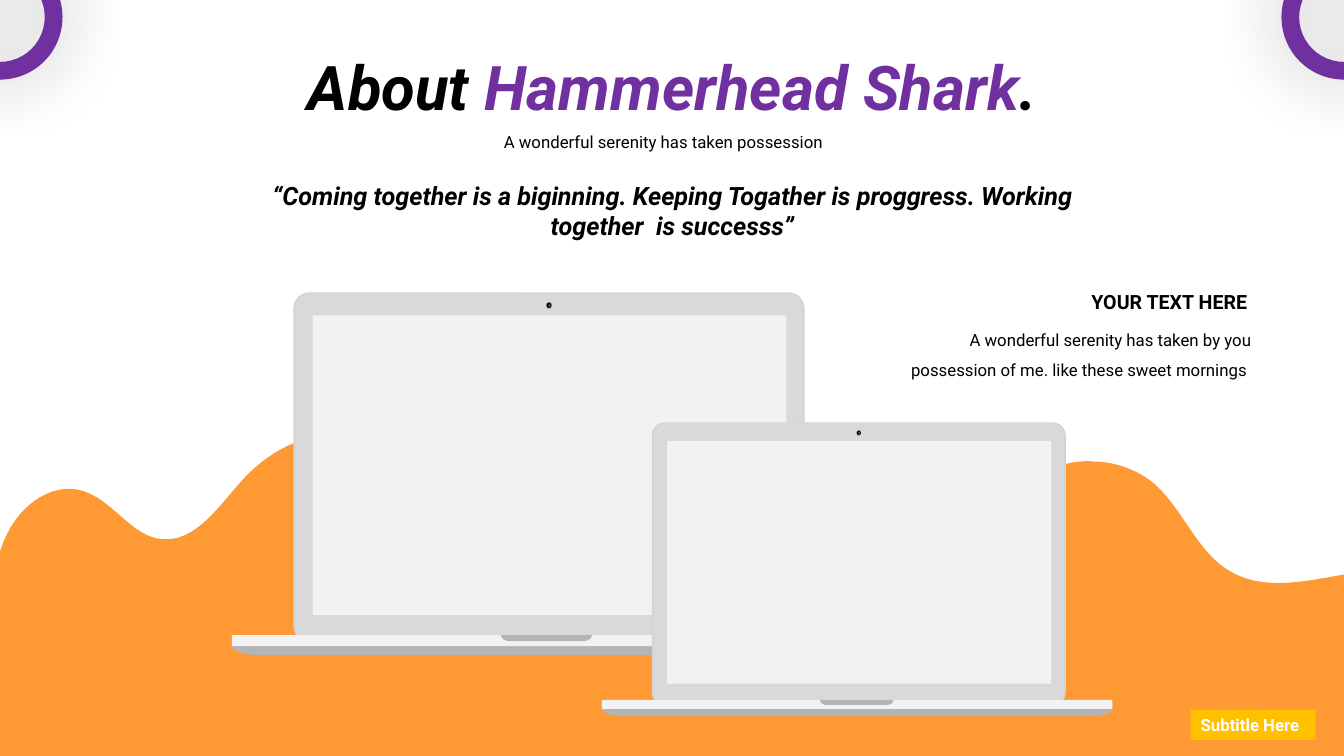
"""Build the slide with two laptops in front of an orange wave."""
import pptx
import pptx.dml.color
import pptx.enum.shapes
import pptx.enum.text
import pptx.oxml
import pptx.oxml.ns
import pptx.util

Inches = pptx.util.Inches
SHAPE = pptx.enum.shapes.MSO_SHAPE
ALIGN = pptx.enum.text.PP_ALIGN
WIDTH, HEIGHT = 13.33, 7.5
PURPLE, ORANGE, GOLD = "7030A0", "FF9933", "FFC000"
BLACK, WHITE = "000000", "FFFFFF"
RIM, LID, PALE, DARK = "D2D3D5", "D9D9D9", "F2F2F2", "B3B4B5"
CREST_START = (0.02, 5.42)
CREST = [
    ((0.03, 5.38), (0.05, 5.34), (0.07, 5.3)),
    ((0.21, 5), (0.53, 4.78), (0.82, 4.87)),
    ((1.12, 4.96), (1.31, 5.33), (1.61, 5.35)),
    ((1.93, 5.38), (2.16, 5.04), (2.38, 4.79)),
    ((2.58, 4.56), (2.84, 4.39), (3.13, 4.33)),
    ((3.2, 4.32), (3.28, 4.31), (3.35, 4.32)),
    ((3.56, 4.32), (3.78, 4.4), (3.95, 4.54)),
    ((4.23, 4.79), (4.37, 5.2), (4.67, 5.39)),
    ((5.01, 5.61), (5.43, 5.51), (5.83, 5.44)),
    ((6.1, 5.4), (6.39, 5.39), (6.66, 5.4)),
    ((6.94, 5.42), (7.24, 5.48), (7.47, 5.64)),
]


def color(value):
    """Turn a hex string into a colour."""
    return pptx.dml.color.RGBColor.from_string(value)


def paint(shape, fill):
    """Give a shape a plain fill without line or shadow."""
    shape.fill.solid()
    shape.fill.fore_color.rgb = color(fill)
    shape.line.fill.background()
    shape.shadow.inherit = False
    return shape


def add_preset(shapes, kind, box, fill, *adjustments):
    """Add a filled preset shape."""
    shape = shapes.add_shape(kind, *map(Inches, box))
    for index, value in enumerate(adjustments):
        shape.adjustments[index] = value
    return paint(shape, fill)


def add_outline(shapes, points, fill):
    """Add a filled closed outline."""
    start, *rest = [(Inches(x), Inches(y)) for x, y in points]
    builder = shapes.build_freeform(*start)
    builder.add_line_segments(rest, close=True)
    return paint(builder.convert_to_shape(), fill)


def curve_points(start, curves, steps=12):
    """List points along a chain of cubic curves."""
    points = [start]
    for first, second, end in curves:
        for step in range(1, steps + 1):
            t = step / steps
            u = 1 - t
            points.append(tuple(
                u**3 * a + 3 * u * u * t * b + 3 * u * t * t * c + t**3 * d
                for a, b, c, d in zip(start, first, second, end)))
        start = end
    return points


def add_wave(shapes):
    """Add the wave, whose crest repeats lower on the right."""
    left = curve_points(CREST_START, CREST)
    right = [(x + 7.5, y + 0.26) for x, y in curve_points(CREST_START, CREST[:9])]
    outline = [(0, HEIGHT), (0, 5.47), *left, *right, (WIDTH, HEIGHT)]
    add_outline(shapes, outline, ORANGE)


def add_basin(shapes, box, side, corner, fill):
    """Add a flat-topped shape with rounded lower corners."""
    left, top, width, height = box
    bend = curve_points((0, side), [((0, (side + height) / 2), (corner * 0.4, height), (corner, height))])
    near = [(left + x, top + y) for x, y in bend]
    far = [(left + width - x, top + y) for x, y in reversed(bend)]
    add_outline(shapes, [(left, top), *near, *far, (left + width, top)], fill)


def add_laptop(shapes, left, top, scale):
    """Add a laptop at the given scale."""
    def place(x, y, width, height):
        return left + x * scale, top + y * scale, width * scale, height * scale

    add_basin(shapes, place(0, 3.46, 6.25, 0.14), 0.05 * scale, 0.27 * scale, DARK)
    add_preset(shapes, SHAPE.ROUNDED_RECTANGLE, place(0.61, 0, 5.07, 3.47), RIM, 0.046)
    add_preset(shapes, SHAPE.ROUNDED_RECTANGLE, place(0.63, 0.01, 5.03, 3.44), LID, 0.042)
    add_preset(shapes, SHAPE.RECTANGLE, place(0, 3.4, 6.25, 0.11), PALE)
    add_basin(shapes, place(2.67, 3.4, 0.9, 0.06), 0, 0.08 * scale, DARK)
    add_preset(shapes, SHAPE.RECTANGLE, place(0.8, 0.23, 4.7, 2.97), PALE)
    for x, y, size, fill in [(3.12, 0.11, 0.05, "2C2C2C"), (3.12, 0.1, 0.05, "0A0A0A"),
                             (3.13, 0.11, 0.03, BLACK), (3.14, 0.12, 0.02, "2C99B4")]:
        add_preset(shapes, SHAPE.OVAL, place(x, y, size, size), fill)


def add_ring(shapes, left):
    """Add a corner ring with a soft shadow."""
    ring = add_preset(shapes, SHAPE.DONUT, (left, -0.45, 1.24, 1.24), PURPLE, 0.142)
    effects = ring._element.spPr.find(pptx.oxml.ns.qn("a:effectLst"))
    effects.append(pptx.oxml.parse_xml(
        f'<a:outerShdw {pptx.oxml.ns.nsdecls("a")} blurRad="{pptx.util.Pt(49)}" dist="0" dir="0" '
        f'algn="ctr" rotWithShape="0"><a:srgbClr val="{BLACK}"><a:alpha val="33000"/>'
        '</a:srgbClr></a:outerShdw>'))


def write(frame, runs, size, align, bold=False, italic=False, spacing=None, wrap=True):
    """Fill a text frame with one paragraph of coloured runs."""
    frame.word_wrap = wrap
    frame.auto_size = pptx.enum.text.MSO_AUTO_SIZE.SHAPE_TO_FIT_TEXT
    paragraph = frame.paragraphs[0]
    paragraph.alignment = align
    paragraph.line_spacing = spacing
    font = paragraph.font
    font.name, font.size, font.bold, font.italic = "Roboto", pptx.util.Pt(size), bold, italic
    for text, fill in runs:
        run = paragraph.add_run()
        run.text = text
        run.font.color.rgb = color(fill)


def add_text(shapes, box, runs, size, align, **style):
    """Add a text box."""
    write(shapes.add_textbox(*map(Inches, box)).text_frame, runs, size, align, **style)


def main():
    """Build and save the slide."""
    deck = pptx.Presentation()
    deck.slide_width, deck.slide_height = Inches(WIDTH), Inches(HEIGHT)
    shapes = deck.slides.add_slide(deck.slide_layouts[6]).shapes

    add_wave(shapes)
    add_laptop(shapes, 2.3, 2.9, 1)
    add_laptop(shapes, 5.97, 4.19, 0.81)

    add_text(shapes, (2.37, 0.44, 8.6, 0.84),
             [("About ", BLACK), ("Hammerhead Shark", PURPLE), (".", BLACK)],
             44, ALIGN.CENTER, bold=True, italic=True)
    add_text(shapes, (4.37, 1.16, 4.42, 0.37),
             [("A wonderful serenity has taken possession", BLACK)], 12, ALIGN.CENTER, spacing=1.5)

    subtitle = add_preset(shapes, SHAPE.RECTANGLE, (11.81, 7.04, 1.24, 0.3), GOLD)
    write(subtitle.text_frame, [("Subtitle Here", WHITE)], 12, ALIGN.LEFT, bold=True, wrap=False)
    for left in (-0.62, WIDTH - 0.62):
        add_ring(shapes, left)

    add_text(shapes, (9.6, 2.83, 2.87, 0.34), [("YOUR TEXT HERE", BLACK)], 14, ALIGN.RIGHT, bold=True)
    add_text(shapes, (8.87, 3.12, 3.64, 0.67),
             [("A wonderful serenity has taken by you possession of me. "
               "like these sweet mornings ", BLACK)], 12, ALIGN.RIGHT, spacing=1.5)
    add_text(shapes, (2.37, 1.74, 8.6, 0.71),
             [("“Coming together is a biginning. Keeping Togather is proggress. "
               "Working together  is successs”", BLACK)], 18, ALIGN.CENTER, bold=True, italic=True)
    deck.save("out.pptx")


main()
